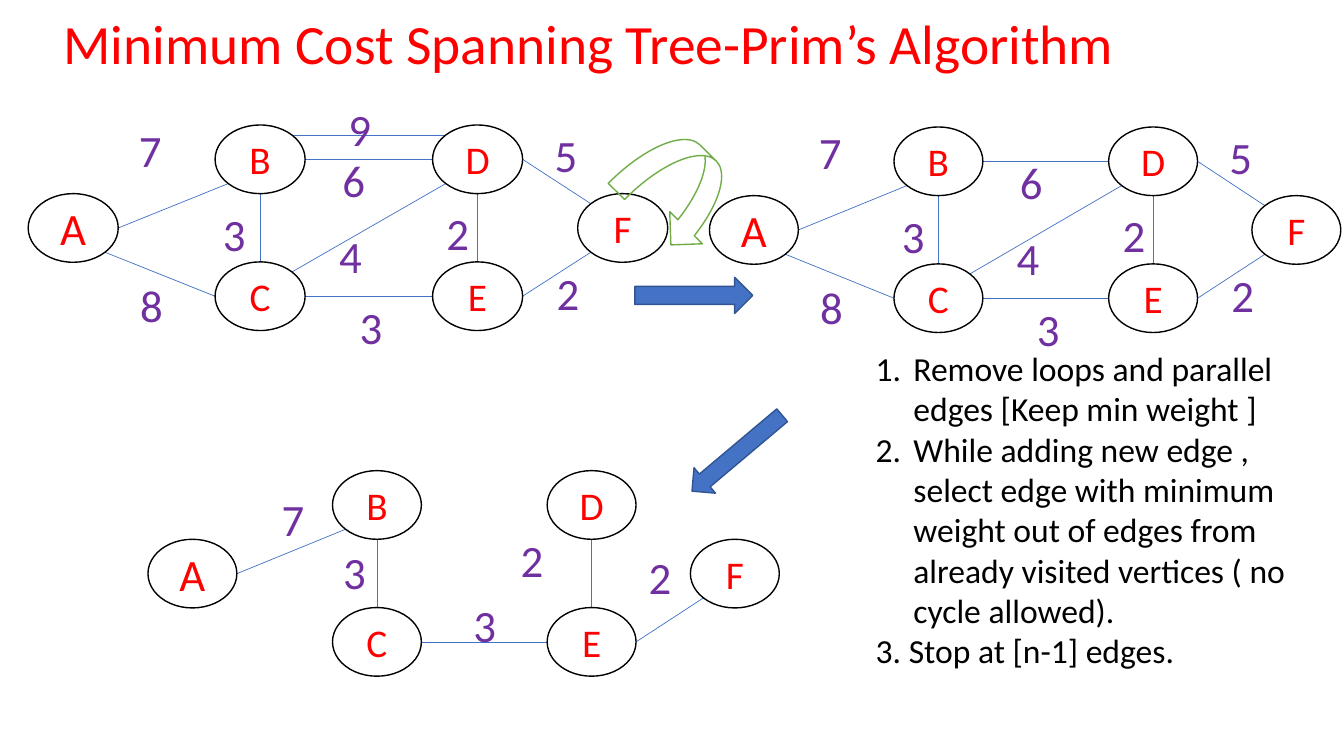
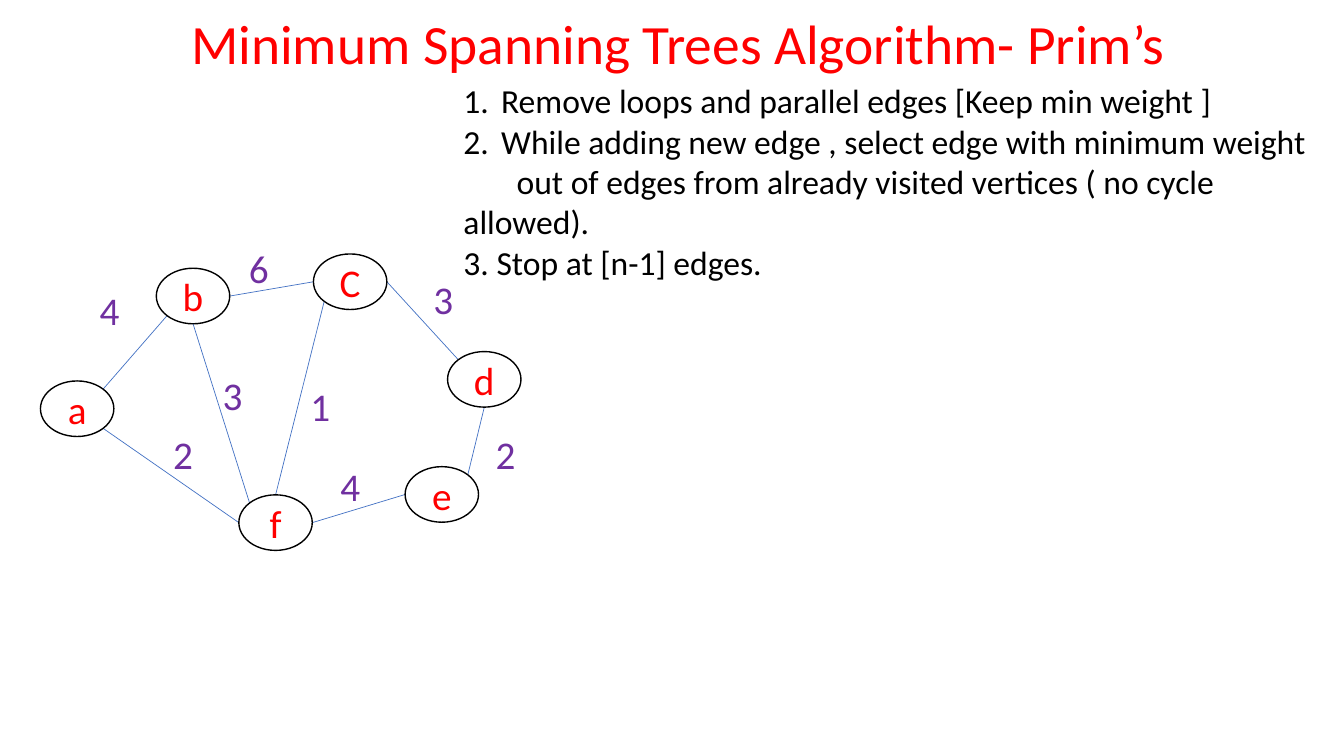
"""Build two slides on Prim's minimum spanning tree algorithm."""
import dataclasses
import math

import lxml.etree
import pptx
import pptx.dml.color
import pptx.enum.shapes
import pptx.enum.text
import pptx.oxml.ns
import pptx.util

Cm = pptx.util.Cm
Pt = pptx.util.Pt
RGB = pptx.dml.color.RGBColor
MSO_SHAPE = pptx.enum.shapes.MSO_SHAPE
PP_ALIGN = pptx.enum.text.PP_ALIGN
MSO_ANCHOR = pptx.enum.text.MSO_ANCHOR
qn = pptx.oxml.ns.qn


@dataclasses.dataclass(frozen=True)
class Theme:
    font: str = "Calibri"
    red: RGB = RGB(0xFF, 0x00, 0x00)
    purple: RGB = RGB(0x70, 0x30, 0xA0)
    black: RGB = RGB(0x00, 0x00, 0x00)
    blue: RGB = RGB(0x44, 0x72, 0xC4)
    dark_blue: RGB = RGB(0x32, 0x54, 0x91)
    green: RGB = RGB(0x70, 0xAD, 0x47)
    title: float = 39.6
    large: float = 32
    medium: float = 28
    body: float = 24
    outline: float = 1
    edge: float = 0.5


theme = Theme()


def write(sp, lines, size, color, align=PP_ALIGN.LEFT):
    """Put one paragraph per line in a shape and format the runs."""
    tf = sp.text_frame
    tf.text = "\n".join(lines)
    for p in tf.paragraphs:
        p.alignment = align
        for r in p.runs:
            r.font.name = theme.font
            r.font.size = Pt(size)
            r.font.color.rgb = color
    return tf


def add_graph(s, left, top, nodes, edges, node_size, label_size, scale=1.0):
    """Draw edges, vertices and weights, with offsets in centimetres."""
    w, h = node_size
    for start, start_side, end, end_side, weight, label_x, label_y in edges:
        ends = []
        for name, side in ((start, start_side), (end, end_side)):
            x, y, _ = nodes[name]
            dx, dy = SIDES[side]
            ends += [Cm(left + scale * (x + w / 2 * (1 + dx))), Cm(top + y + h / 2 * (1 + dy))]
        c = s.shapes.add_connector(pptx.enum.shapes.MSO_CONNECTOR.STRAIGHT, *ends)
        c.line.color.rgb = theme.blue
        c.line.width = Pt(theme.edge)
        lxml.etree.SubElement(c._element.spPr, qn("a:effectLst"))
        sp = s.shapes.add_textbox(Cm(left + scale * label_x), Cm(top + label_y),
                                  Pt(label_size / 2 + 15), Pt(label_size * 1.22 + 7))
        write(sp, [weight], label_size, theme.purple)
    for name, (x, y, size) in nodes.items():
        sp = s.shapes.add_shape(MSO_SHAPE.OVAL, Cm(left + scale * x), Cm(top + y),
                                Cm(scale * w), Cm(h))
        sp.shadow.inherit = False
        sp.fill.background()
        sp.line.color.rgb = theme.black
        sp.line.width = Pt(theme.outline)
        tf = write(sp, [name], size, theme.red, PP_ALIGN.CENTER)
        tf.vertical_anchor = MSO_ANCHOR.MIDDLE


DIAGONAL = math.sqrt(0.5)
SIDES = {
    "n": (0, -1), "s": (0, 1), "w": (-1, 0), "e": (1, 0),
    "nw": (-DIAGONAL, -DIAGONAL), "ne": (DIAGONAL, -DIAGONAL),
    "sw": (-DIAGONAL, DIAGONAL), "se": (DIAGONAL, DIAGONAL),
}
HANG = 0.95
REMOVE = "Remove loops and parallel edges [Keep min weight ]"
ADD = "While adding new edge , select edge with minimum weight"
VISITED = "out of edges from already visited vertices ( no cycle allowed)."
STOP = "3. Stop at [n-1] edges."

prs = pptx.Presentation()
prs.slide_width = Cm(33.87)
prs.slide_height = Cm(19.05)

pages = [
    ("Minimum Cost Spanning Tree-Prim’s Algorithm", 28.3, (21.82, 8.64, 11.94, 9.5),
     [(REMOVE, HANG, -HANG), (f"{ADD} {VISITED}", HANG, -HANG), (STOP, 0, 0)]),
    ("Minimum Spanning Trees Algorithm- Prim’s", 32.8, (11.43, 1.9, 21.92, 6.4),
     [(REMOVE, HANG, -HANG), (ADD, HANG, -HANG), (VISITED, 0, 1.34), (STOP, 0, 0)]),
]
slides = []
for title, title_width, steps_box, steps in pages:
    s = prs.slides.add_slide(prs.slide_layouts[6])
    slides.append(s)
    sp = s.shapes.add_textbox(Cm(0.69), Cm(0.43), Cm(title_width), Cm(1.5))
    tf = write(sp, [title], theme.title, theme.red, PP_ALIGN.CENTER)
    tf.word_wrap = True
    tf.vertical_anchor = MSO_ANCHOR.MIDDLE
    tf.paragraphs[0].line_spacing = 0.9

    sp = s.shapes.add_textbox(*[Cm(v) for v in steps_box])
    tf = write(sp, [text for text, _, _ in steps], theme.body, theme.black)
    tf.word_wrap = True
    for p, (_, margin, indent) in zip(tf.paragraphs, steps):
        pPr = p._p.get_or_add_pPr()
        pPr.set("marL", str(Cm(margin)))
        pPr.set("indent", str(Cm(indent)))
        if indent < 0:
            lxml.etree.SubElement(pPr, qn("a:buAutoNum"), type="arabicPeriod")

s = slides[0]
nodes = {
    "A": (0, 1.73, theme.large),
    "B": (4.65, 0, theme.medium),
    "C": (4.65, 3.45, theme.medium),
    "D": (10.06, 0, theme.medium),
    "E": (10.06, 3.45, theme.medium),
    "F": (13.67, 1.73, theme.medium),
}
simple_edges = [
    ("A", "e", "B", "sw", "7", 2.51, -0.18),
    ("A", "se", "C", "w", "8", 2.54, 3.73),
    ("B", "s", "C", "n", "3", 4.6, 1.93),
    ("B", "e", "D", "w", "6", 7.57, 0.58),
    ("C", "ne", "D", "sw", "4", 7.49, 2.49),
    ("C", "e", "E", "w", "3", 8, 4.27),
    ("D", "s", "E", "n", "2", 10.16, 1.9),
    ("D", "e", "F", "nw", "5", 12.85, -0.05),
    ("E", "e", "F", "sw", "2", 12.9, 3.43),
]
parallel_edge = ("B", "ne", "D", "nw", "9", 7.72, -0.71)
tree_labels = {
    "AB": (3.12, 0.41), "BC": (4.67, 1.75), "CE": (7.95, 3.07),
    "DE": (9.14, 1.45), "EF": (12.37, 1.88),
}
tree_edges = [e[:5] + tree_labels[e[0] + e[2]] for e in simple_edges if e[0] + e[2] in tree_labels]
for left, top, edges, scale in [
    (0.71, 3.15, simple_edges + [parallel_edge], 1.013),
    (17.88, 3.2, simple_edges, 1),
    (3.73, 11.86, tree_edges, 1),
]:
    add_graph(s, left, top, nodes, edges, (2.24, 1.73), theme.large, scale)

for kind, box, rotation, fill, line in [
    (MSO_SHAPE.CURVED_LEFT_ARROW, (15.98, 3.38, 2.31, 2.79), 314.5, None, theme.green),
    (MSO_SHAPE.RIGHT_ARROW, (16, 6.99, 2.97, 0.91), 0, theme.blue, theme.dark_blue),
    (MSO_SHAPE.RIGHT_ARROW, (17.09, 11, 2.97, 0.84), 139.9, theme.blue, theme.dark_blue),
]:
    sp = s.shapes.add_shape(kind, *[Cm(v) for v in box])
    sp.rotation = rotation
    sp.shadow.inherit = False
    if fill is None:
        sp.fill.background()
    else:
        sp.fill.solid()
        sp.fill.fore_color.rgb = fill
    sp.line.color.rgb = line
    sp.line.width = Pt(theme.outline)

nodes = {
    "a": (1.02, 9.6, theme.medium),
    "b": (3.94, 6.76, theme.medium),
    "C": (7.9, 6.4, theme.medium),
    "d": (11.28, 8.86, theme.medium),
    "e": (10.21, 11.76, theme.medium),
    "f": (6.02, 12.47, theme.medium),
}
edges = [
    ("a", "ne", "b", "sw", "4", 2.26, 7.09),
    ("a", "se", "f", "w", "2", 4.11, 10.72),
    ("b", "e", "C", "w", "6", 6.02, 6.02),
    ("b", "s", "f", "nw", "3", 5.36, 9.22),
    ("C", "e", "d", "nw", "3", 10.67, 6.81),
    ("C", "sw", "f", "n", "1", 7.57, 9.5),
    ("d", "s", "e", "ne", "2", 12.24, 10.72),
    ("f", "e", "e", "w", "4", 8.33, 11.53),
]
add_graph(slides[1], 0, 0, nodes, edges, (1.85, 1.4), theme.medium)

prs.save("out.pptx")
